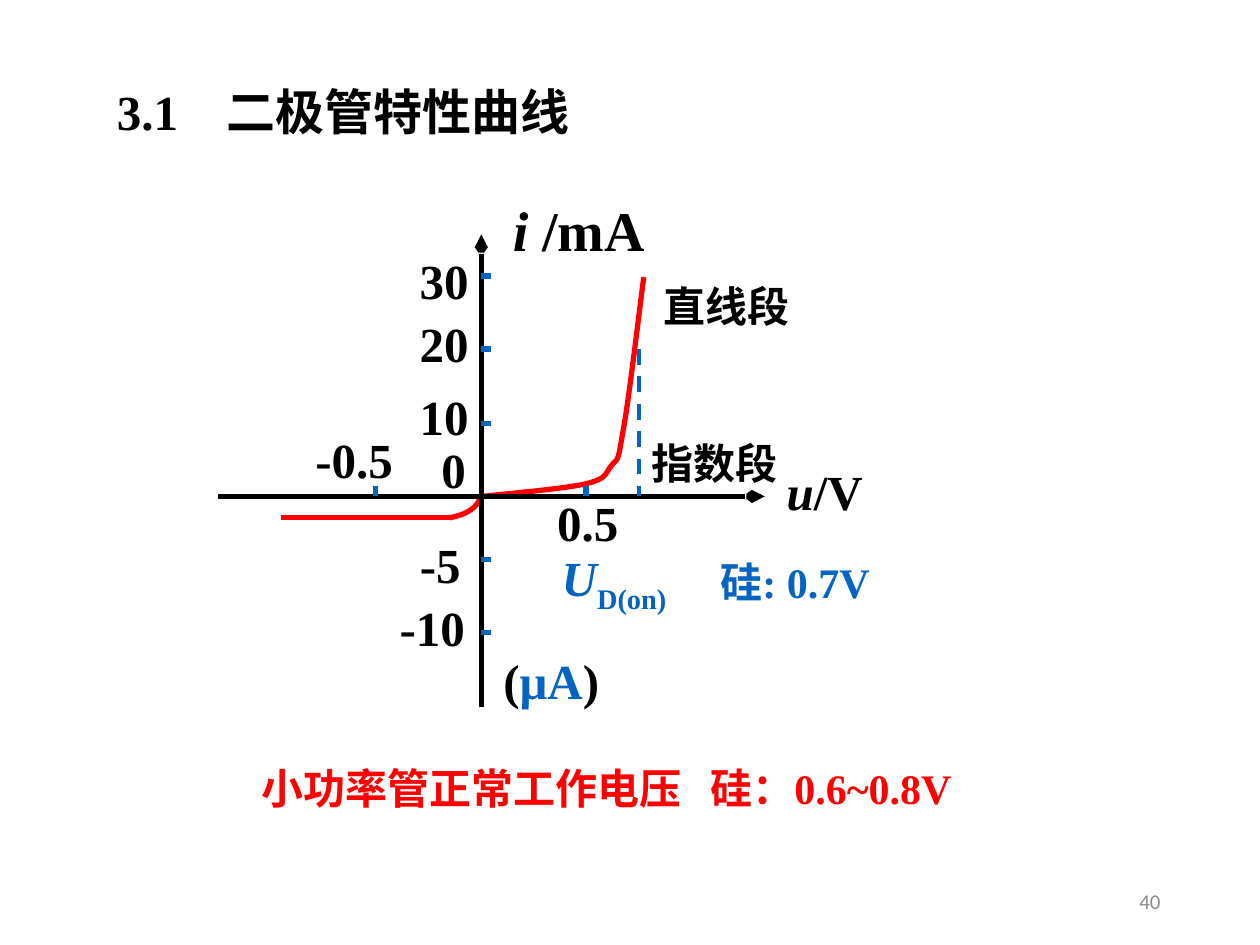
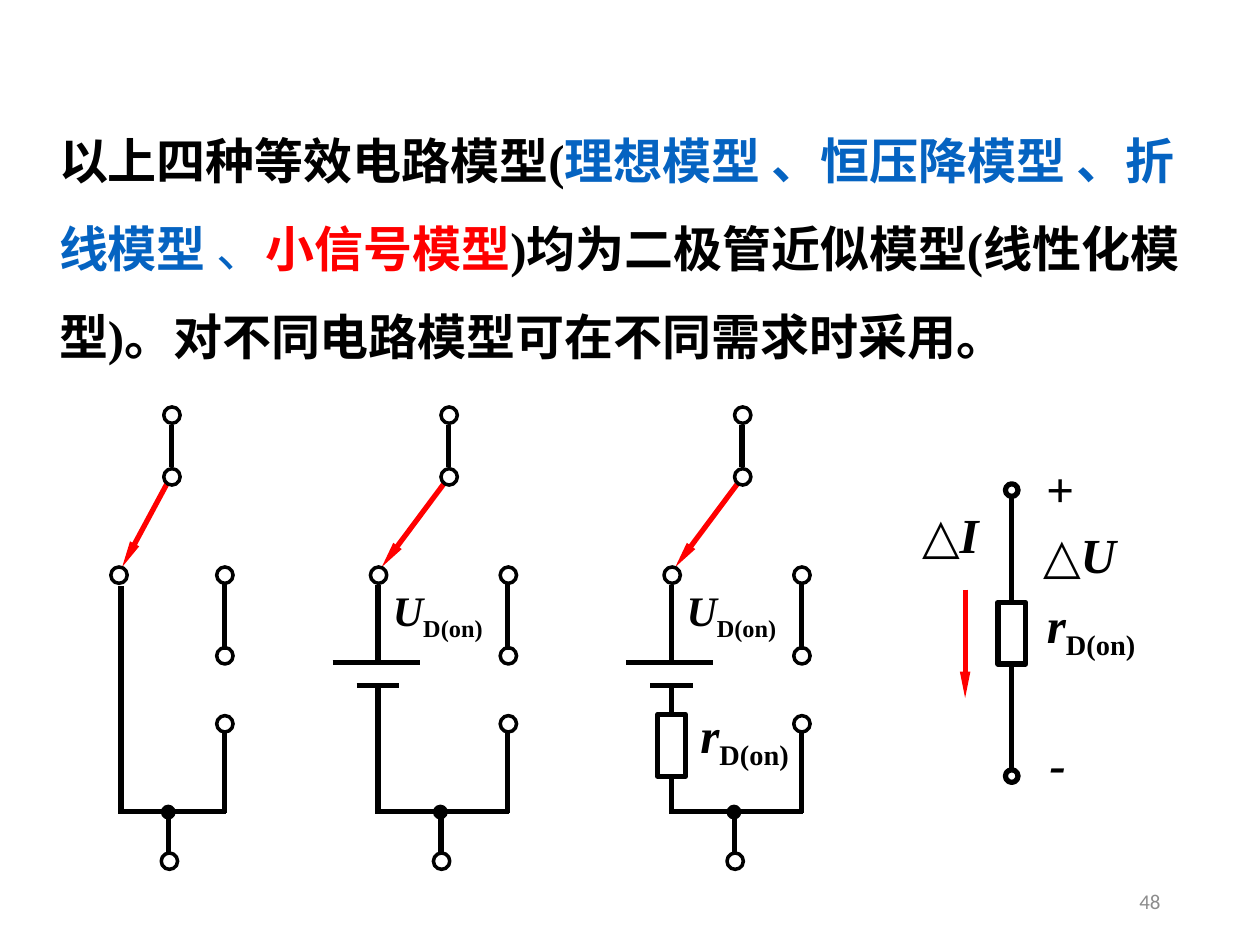
from pptx import Presentation
from pptx.dml.color import RGBColor
from pptx.enum.dml import MSO_LINE
from pptx.enum.shapes import MSO_CONNECTOR, MSO_SHAPE
from pptx.enum.text import MSO_ANCHOR, PP_ALIGN
from pptx.oxml.ns import qn
from pptx.util import Pt
from lxml import etree

PX = 9144  # 100 px to the inch
C = {"black": "000000", "blue": "0563C1", "red": "FF0000", "grey": "8C8C8C"}
SERIF, SANS = "Times New Roman", "Calibri"
STRAIGHT = MSO_CONNECTOR.STRAIGHT
OVAL, RECT = MSO_SHAPE.OVAL, MSO_SHAPE.RECTANGLE
LEFT, CENTER, RIGHT = PP_ALIGN.LEFT, PP_ALIGN.CENTER, PP_ALIGN.RIGHT
TOP, MIDDLE = MSO_ANCHOR.TOP, MSO_ANCHOR.MIDDLE


def add_text(s, x, y, w, h, runs, size=28, align=CENTER, anchor=MIDDLE, wrap=False,
             spacing=None, tab=None, font=SERIF, bold=True):
    """Runs are (text, colour, style); style holds i (italic), s (subscript), n (not bold)."""
    tf = s.shapes.add_textbox(x * PX, y * PX, w * PX, h * PX).text_frame
    tf.word_wrap, tf.vertical_anchor = wrap, anchor
    p = tf.paragraphs[0]
    p.alignment = align
    if spacing:
        p.line_spacing = spacing
    if tab:
        tabs = etree.SubElement(p._p.get_or_add_pPr(), qn("a:tabLst"))
        etree.SubElement(tabs, qn("a:tab"), pos=str(tab * PX), algn="l")
    for text, color, style in runs:
        r = p.add_run()
        r.text = text
        r.font.name, r.font.size = font, Pt(size)
        r.font.bold = bold and "n" not in style
        r.font.italic = "i" in style
        r.font.color.rgb = RGBColor.from_string(C[color])
        if "s" in style:
            r._r.get_or_add_rPr().set("baseline", "-25000")


def add_line(s, x1, y1, x2, y2, color="black", width=3, head=None):
    """Head is (type, width, length) of the arrowhead at the end."""
    line = s.shapes.add_connector(STRAIGHT, x1 * PX, y1 * PX, x2 * PX, y2 * PX)
    line.line.color.rgb = RGBColor.from_string(C[color])
    line.line.width = Pt(width)
    if head:
        etree.SubElement(line.line._get_or_add_ln(), qn("a:tailEnd"),
                         type=head[0], w=head[1], len=head[2])
    etree.SubElement(line._element.spPr, qn("a:effectLst"))
    return line


prs = Presentation()
prs.slide_width, prs.slide_height = 1000 * PX, 750 * PX
curve_slide, model_slide = [prs.slides.add_slide(prs.slide_layouts[6]) for _ in range(2)]
for s, number in ((curve_slide, "40"), (model_slide, "48")):
    add_text(s, 706, 695, 225, 40, [(number, "grey", "")], 12, RIGHT, font=SANS, bold=False)

# ---- Slide 1: diode characteristic ----
s = curve_slide
add_text(s, 83, 60, 481, 57, [("3.1\t二极管特性曲线", "black", "")],
         align=LEFT, anchor=TOP, wrap=True, tab=87)

# Forward and reverse curves: a start point, then cubic Bezier segments
forward = [(511, 220), [(508, 241), (499, 320), (494, 345)],
           [(490, 370), (490, 363), (485, 370)], [(480, 376), (482, 380), (465, 384)],
           [(448, 388), (400, 392), (383, 394)]]
reverse = [(382, 394), [(379, 400), (376, 407), (357, 411)]]
STEPS = 12
for start, *segments in (forward, reverse):
    p0, points = start, []
    for p1, p2, p3 in segments:
        for t in [k / STEPS for k in range(1, STEPS + 1)]:
            u = 1 - t
            points.append([round((u**3 * a + 3 * u * u * t * b + 3 * u * t * t * c + t**3 * d) * PX)
                           for a, b, c, d in zip(p0, p1, p2, p3)])
        p0 = p3
    builder = s.shapes.build_freeform(start[0] * PX, start[1] * PX)
    builder.add_line_segments(points, close=False)
    curve = builder.convert_to_shape()
    curve.shadow.inherit = False
    curve.fill.background()
    curve.line.color.rgb = RGBColor.from_string(C["red"])
    curve.line.width = Pt(3)
add_line(s, 357, 411, 223, 411, "red")

# Axes and ticks
AXIS_X, AXIS_Y = 382, 394
OPEN_HEAD = ("arrow", "sm", "med")
add_line(s, 173, AXIS_Y, 607, AXIS_Y, head=OPEN_HEAD)
add_line(s, AXIS_X, 561, AXIS_X, 186, head=OPEN_HEAD)
for y in (219, 277, 336, 444, 502):
    add_line(s, AXIS_X, y, AXIS_X + 8, y, "blue")
for x in (298, 465):
    add_line(s, x, AXIS_Y - 8, x, AXIS_Y, "blue")

# Axis labels
add_text(s, 397, 150, 125, 63, [("i", "black", "i"), (" /mA", "black", "")], 32)
add_text(s, 614, 361, 81, 57, [("u", "black", "i"), ("/V", "black", "")])
add_text(s, 389, 511, 97, 57, [("(", "black", ""), ("μA", "blue", ""), (")", "black", "")])
for label, x, y, w in (("30", 323, 194, 59), ("20", 323, 244, 59), ("10", 323, 302, 59),
                       ("0", 340, 344, 40), ("-5", 323, 419, 53), ("-10", 307, 469, 72),
                       ("-0.5", 240, 336, 82), ("0.5", 432, 386, 69)):
    add_text(s, x, y, w, 57, [(label, "black", "")])

# Turn-on voltage and notes
add_text(s, 562, 437, 164, 50, [("硅: 0.7V", "blue", "")], 24, LEFT, TOP, True)
add_text(s, 436, 430, 129, 57, [("U", "blue", "i"), ("D(on)", "blue", "s")],
         align=LEFT, anchor=TOP, wrap=True)
for label, x, y in (("指数段", 507, 330), ("直线段", 517, 206)):
    add_text(s, x, y, 120, 62, [(label, "black", "")], 24, LEFT, TOP, spacing=1.3)
add_text(s, 198, 608, 600, 43, [("小功率管正常工作电压\t硅：0.6~0.8V", "red", "")],
         24, LEFT, TOP, True, spacing=0.8, tab=356)
turn_on = add_line(s, 507, 277, 507, AXIS_Y, "blue", 2.25)
turn_on.line.dash_style = MSO_LINE.DASH

# ---- Slide 2: equivalent circuit models ----
s = model_slide
add_text(s, 37, 75, 941, 222,
         [("以上四种等效电路模型(", "black", ""), ("理想模型 、恒压降模型 、折线模型", "blue", ""),
          (" 、", "blue", "n"), ("小信号模型", "red", ""),
          (")均为二极管近似模型(线性化模型)。对不同电路模型可在不同需求时采用。", "black", "")],
         align=LEFT, anchor=TOP, wrap=True, spacing=1.5)

SOLID_HEAD = ("triangle", "sm", "lg")
BASE_Y = 644
rings = []  # left, top, diameter, line width, filled

# Switch circuits: x of pole, left contact, right contact, foot, left wire; parts
for pole, left, right, foot, wire, battery, resistor in (
        (136, 94, 178, 134, 96, False, False),
        (356, 300, 403, 350, 300, True, False),
        (589, 533, 636, 583, 533, True, True)):
    add_line(s, pole, 337, pole, 371)
    add_line(s, pole - 3, 383, left + 3, 450, "red", head=SOLID_HEAD)
    add_line(s, right, 463, right, 516)
    add_line(s, right, 582, right, BASE_Y + 1)
    add_line(s, right + 1, BASE_Y, wire - 1, BASE_Y)
    add_line(s, foot, BASE_Y, foot, 678)
    if battery:
        add_line(s, wire, 464, wire, 524)
        add_line(s, wire - 36, 526, wire + 33, 526)
        add_line(s, wire - 17, 544, wire + 17, 544)
        add_text(s, wire - 2, 462, 99, 50, [("U", "black", "i"), ("D(on)", "black", "s")], 24)
    if not resistor:
        add_line(s, wire, 545 if battery else 465, wire, BASE_Y + 2)
    rings += [(x - 6, y, 13, 2, False) for x, y in (
        (pole, 323), (pole, 372), (left, 450), (right, 450), (right, 514),
        (right, 568), (foot, 677))]
    rings.append((foot - 5, 640, 9, 2, True))

# Resistors with their leads and labels
for x, y, lead_top, lead_end, label_x, label_y in (
        (522, 567, 543, 646, 541, 557), (792, 478, 395, 613, 816, 470)):
    box = s.shapes.add_shape(RECT, x * PX, y * PX, 22 * PX, 49 * PX)
    box.shadow.inherit = False
    box.fill.background()
    box.line.color.rgb = RGBColor.from_string(C["black"])
    box.line.width = Pt(3)
    add_line(s, x + 11, lead_top, x + 11, y).end_connect(box, 0)
    add_line(s, x + 11, y + 49, x + 11, lead_end).begin_connect(box, 2)
    add_text(s, label_x, label_y, 100, 57, [("r", "black", "i"), ("D(on)", "black", "s")])

# Small-signal model
rings += [(798, y, 10, 3, False) for y in (384, 611)]
for sign, x, y, w in (("+", 820, 359, 42), ("-", 823, 577, 33)):
    add_text(s, x, y, w, 57, [(sign, "black", "i")])
for symbol, x, y, w in (("U", 818, 411, 87), ("I", 722, 395, 74)):
    add_text(s, x, y, w, 57, [("△", "black", ""), (symbol, "black", "i")], align=LEFT)
add_line(s, 766, 468, 766, 554, "red", head=SOLID_HEAD)

# Terminals and nodes
for x, y, d, width, filled in rings:
    ring = s.shapes.add_shape(OVAL, x * PX, y * PX, d * PX, d * PX)
    ring.shadow.inherit = False
    if filled:
        ring.fill.solid()
        ring.fill.fore_color.rgb = RGBColor.from_string(C["black"])
    else:
        ring.fill.background()
    ring.line.color.rgb = RGBColor.from_string(C["black"])
    ring.line.width = Pt(width)

prs.save("out.pptx")
